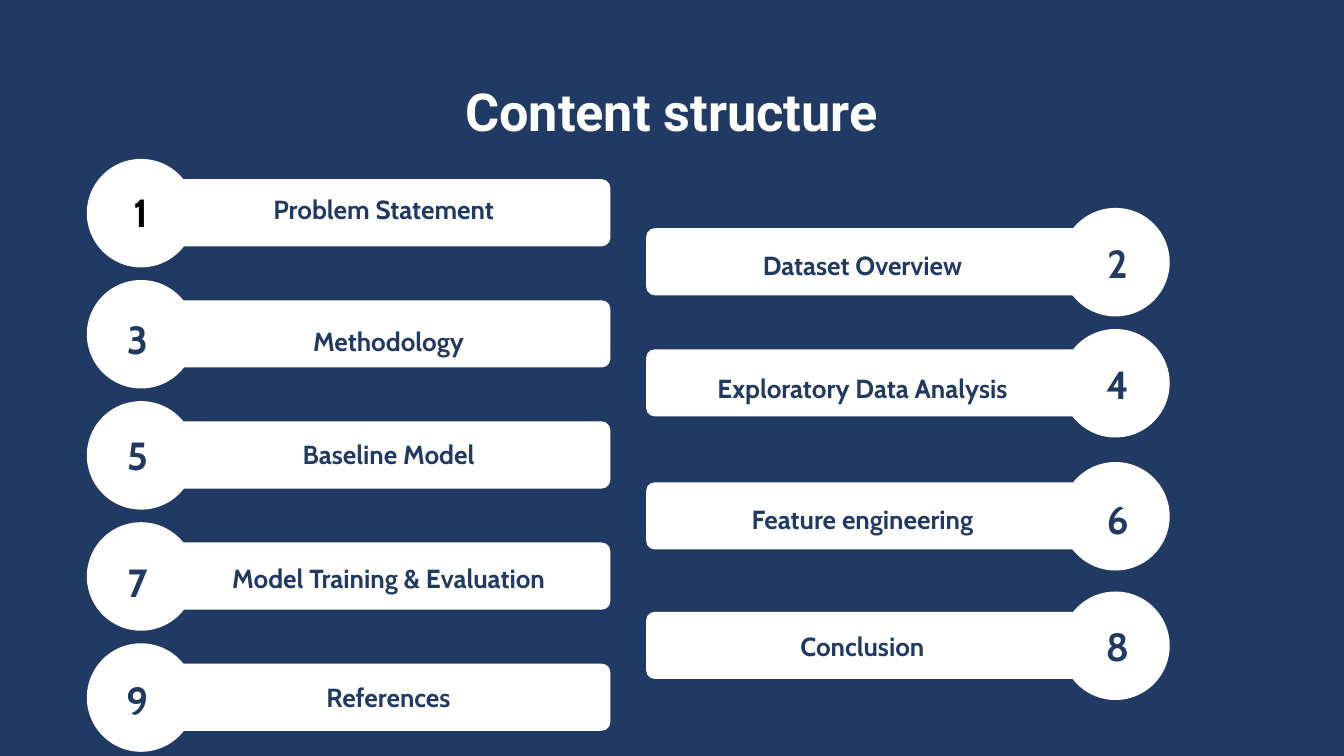
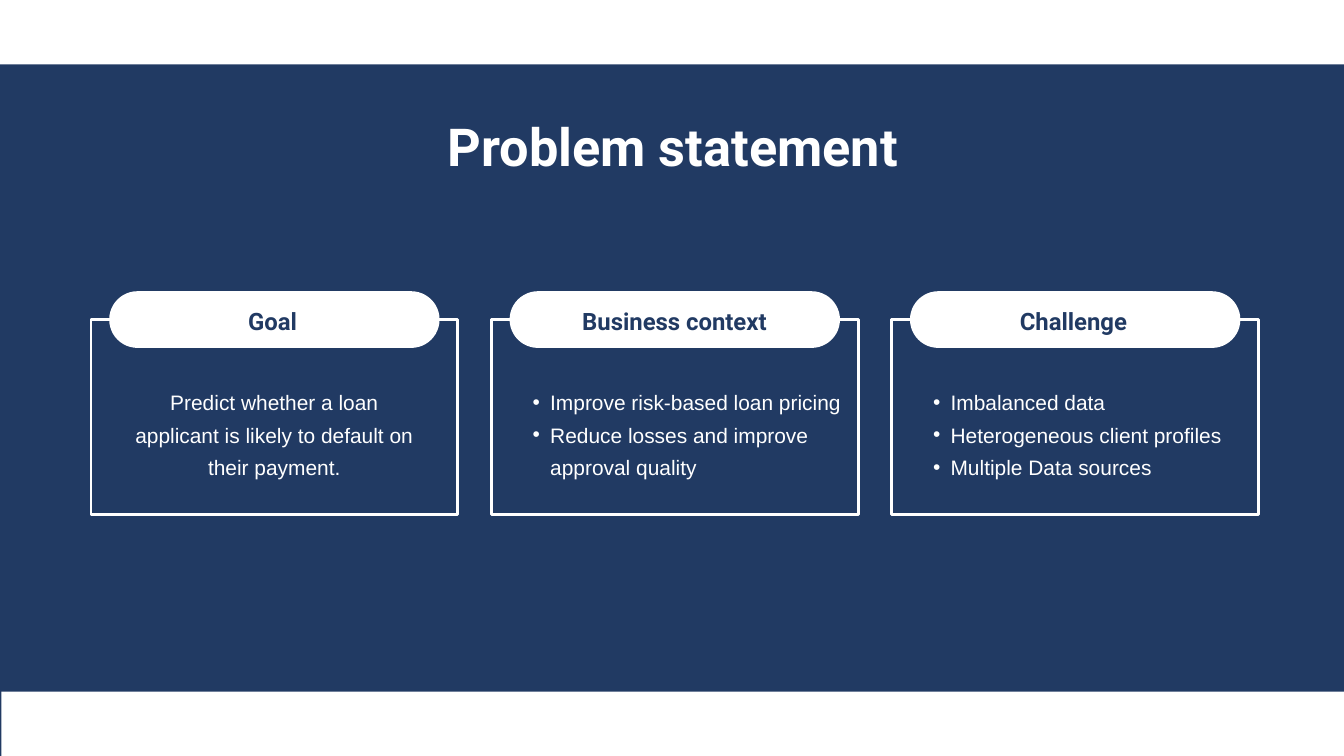
from lxml import etree
from pptx import Presentation
from pptx.dml.color import RGBColor
from pptx.enum.shapes import MSO_SHAPE
from pptx.enum.text import MSO_ANCHOR, MSO_AUTO_SIZE, PP_ALIGN
from pptx.oxml.ns import qn
from pptx.util import Pt

PX = 9525
HUE = {"navy": "213A63", "white": "FFFFFF", "black": "000000"}
TITLE = dict(size=56, lead=78.4, font="Roboto", bold=True, hue="white")
NUM = dict(size=42, lead=52.2, font="Cabin", bold=True)
LABEL = dict(size=28, lead=34.8, font="Cabin", bold=True)
HEAD = dict(size=25.6, lead=35.8, font="Roboto", bold=True)
BODY = dict(size=22.4, lead=35.2, font="Arial", hue="white")


def write(slide, text, box, size, lead, font, hue="navy", bold=False,
          hold=None, dots=False, anchor=MSO_ANCHOR.TOP):
    spot = [v * PX for v in box]
    item = hold or slide.shapes.add_textbox(*spot)
    item.left, item.top, item.width, item.height = spot
    frame = item.text_frame
    frame.word_wrap = True
    frame.auto_size = MSO_AUTO_SIZE.NONE
    frame.vertical_anchor = anchor
    frame.margin_left = frame.margin_right = 0
    frame.margin_top = frame.margin_bottom = 0
    frame.text = text
    for para in frame.paragraphs:
        para.alignment = PP_ALIGN.LEFT if dots else PP_ALIGN.CENTER
        para.line_spacing = Pt(lead)
        para.space_before = para.space_after = Pt(0)
        if dots:
            para.level = 1
            props = para._p.get_or_add_pPr()
            props.set("marL", str(51 * PX))
            props.set("indent", str(-25 * PX))
            etree.SubElement(props, qn("a:buChar")).set("char", "•")
        for run in para.runs:
            run.font.size = Pt(size)
            run.font.name = font
            run.font.bold = bold
            run.font.color.rgb = RGBColor.from_string(HUE[hue])


def draw(slide, kind, box, curve=None, fill=True):
    item = slide.shapes.add_shape(kind, *[v * PX for v in box])
    item.shadow.inherit = False
    if curve is not None:
        item.adjustments[0] = curve
    white = RGBColor.from_string(HUE["white"])
    if fill:
        item.fill.solid()
        item.fill.fore_color.rgb = white
        item.line.fill.background()
    else:
        item.fill.background()
        item.line.color.rgb = white
        item.line.width = Pt(3)


deck = Presentation()
deck.slide_width, deck.slide_height = 1920 * PX, 1080 * PX
back = deck.slide_master.background.fill
back.solid()
back.fore_color.rgb = RGBColor.from_string(HUE["navy"])

slide = deck.slides.add_slide(deck.slide_layouts[5])
write(slide, "Content structure", (209, 98, 1501, 99),
      hold=slide.shapes.title, **TITLE)

items = [
    ("Problem Statement", 227, 227, 237),
    ("Dataset Overview", 297, 339, 354),
    ("Methodology", 400, 448, 463),
    ("Exploratory Data Analysis", 470, 512, 531),
    ("Baseline Model", 573, 614, 624),
    ("Feature engineering", 660, 705, 717),
    ("Model Training & Evaluation", 746, 795, 802),
    ("Conclusion", 845, 887, 899),
    ("References", 919, 964, 972),
]
sides = [(1516, 923, 1557, 606), (124, 224, 157, -71)]
for num, (label, top, numtop, texttop) in enumerate(items, 1):
    disc, bar, numleft, textleft = sides[num % 2]
    draw(slide, MSO_SHAPE.ROUNDED_RECTANGLE, (bar, top + 29, 648, 96), 0.13)
    draw(slide, MSO_SHAPE.OVAL, (disc, top, 155, 155))
    if num == 1:
        mid = dict(anchor=MSO_ANCHOR.MIDDLE)
        write(slide, label, (bar, texttop, 648, 116),
              **{**LABEL, **mid, "lead": 39.2})
        write(slide, "1", (138, numtop, 126, 140),
              **{**NUM, **mid, "lead": 58.8, "hue": "black"})
    else:
        write(slide, label, (textleft, texttop, 1252, 45), **LABEL)
        write(slide, str(num), (numleft, numtop, 79, 68), **NUM)

slide = deck.slides.add_slide(deck.slide_layouts[3])
write(slide, "Problem statement", (211, 148, 1501, 99),
      hold=slide.shapes.title, **TITLE)
for band in [(0, 0, 1920, 92), (2, 988, 1918, 92)]:
    draw(slide, MSO_SHAPE.RECTANGLE, band)

heads = [("Goal", 126), ("Business context", 700), ("Challenge", 1270)]
for col, (head, left) in enumerate(heads):
    shift = 572 * col
    draw(slide, MSO_SHAPE.RECTANGLE, (130 + shift, 457, 524, 278), fill=False)
    draw(slide, MSO_SHAPE.ROUNDED_RECTANGLE, (156 + shift, 416, 472, 81), 0.5)
    write(slide, head, (left, 431, 527, 45), **HEAD)

write(slide, "Predict whether a loan applicant is likely to default on their payment.",
      (191, 545, 402, 138), **BODY)
lists = [
    (("Improve risk-based loan pricing",
      "Reduce losses and improve approval quality"), (735, 545, 480, 185)),
    (("Imbalanced data", "Heterogeneous client profiles",
      "Multiple Data sources"), (1307, 545, 460, 138)),
]
for slot, (lines, box) in enumerate(lists, 1):
    write(slide, "\n".join(lines), box, hold=slide.placeholders[slot],
          dots=True, **BODY)

deck.save("out.pptx")
